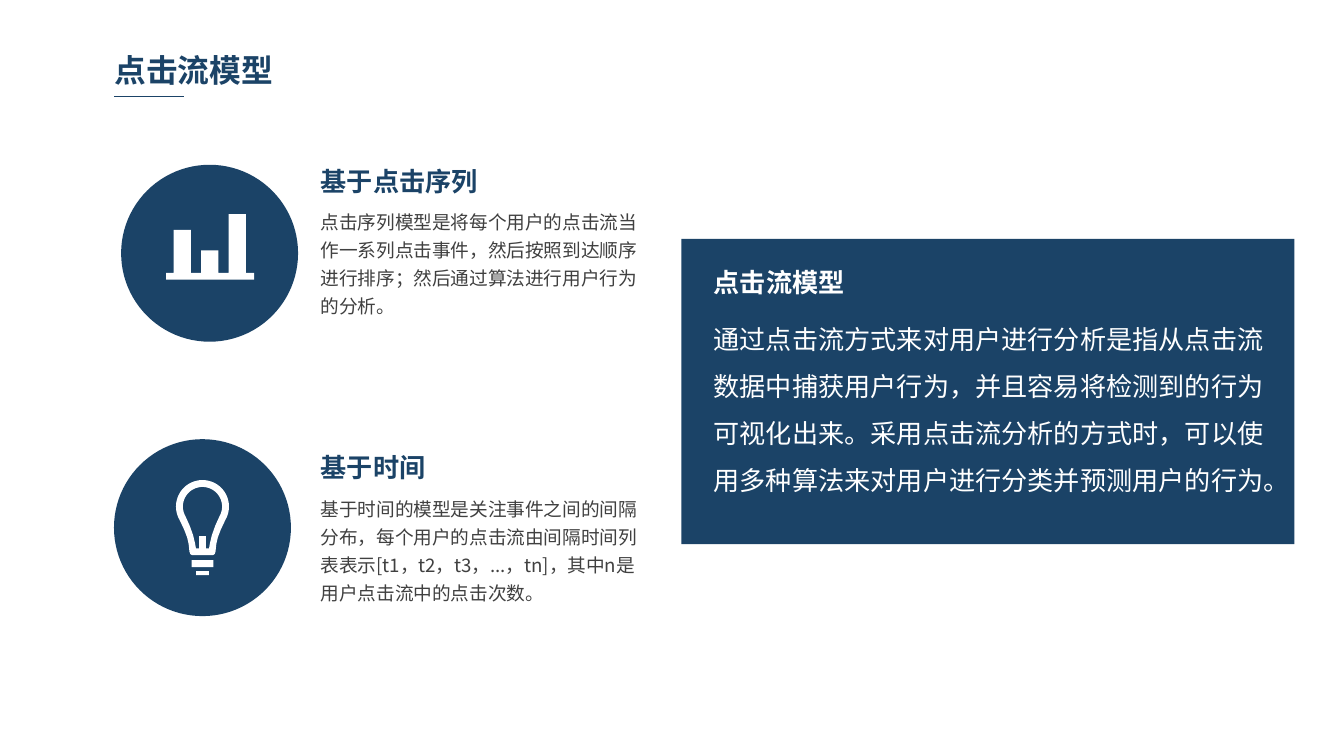
from math import cos, radians, sin

from lxml.etree import SubElement
from pptx import Presentation
from pptx.dml.color import RGBColor
from pptx.enum.shapes import MSO_CONNECTOR, MSO_SHAPE
from pptx.enum.text import MSO_AUTO_SIZE
from pptx.oxml.ns import qn
from pptx.util import Pt

FONT = "Noto Sans CJK SC"
NAVY, WHITE, GREY = "1B4367", "FFFFFF", "404040"


def paint(shape, color):
    shape.shadow.inherit = False
    shape.fill.solid()
    shape.fill.fore_color.rgb = RGBColor.from_string(color)
    shape.line.fill.background()


def add_text(text, box, size, color, bold=False, spacing=None, insets=(0, 0)):
    """Add a text box; insets are (horizontal, vertical)."""
    text_box = slide.shapes.add_textbox(*[Pt(value) for value in box])
    frame = text_box.text_frame
    frame.word_wrap = True
    frame.auto_size = MSO_AUTO_SIZE.SHAPE_TO_FIT_TEXT
    frame.margin_left = frame.margin_right = Pt(insets[0])
    frame.margin_top = frame.margin_bottom = Pt(insets[1])
    frame.text = text
    paragraph = frame.paragraphs[0]
    paragraph.line_spacing = spacing
    run = paragraph.runs[0]
    run.font.size, run.font.bold, run.font.name = Pt(size), bold, FONT
    run.font.color.rgb = RGBColor.from_string(color)
    SubElement(run.font._element, qn("a:ea"), typeface=FONT)


presentation = Presentation()
presentation.slide_width, presentation.slide_height = Pt(720), Pt(405)
slide = presentation.slides.add_slide(presentation.slide_layouts[6])

# Heading with underline
add_text("点击流模型", (56.2, 24.5, 178, 26), 17, NAVY, True, insets=(5.04, 2.88))
underline = slide.shapes.add_connector(
    MSO_CONNECTOR.STRAIGHT, Pt(61.2), Pt(51.8), Pt(98.6), Pt(51.8))
underline.line.color.rgb = RGBColor.from_string(NAVY)
underline.line.width = Pt(0.75)
SubElement(underline._element.spPr, qn("a:effectLst"))

# Bar icon: one outline over the baseline and three bars
bars_outline = [(89, 149.8), (89, 146.3)]
for index, top in enumerate((123.2, 134.2, 114.7)):
    left = 93.1 + 14.7 * index
    right = left + 9.2
    bars_outline += [(left, 146.3), (left, top), (right, top), (right, 146.3)]
bars_outline += [(136.1, 146.3), (136.1, 149.8)]

# Bulb icon: right halves of its contours, as offsets from the axis, mirrored
axis, bulb_center = 108.5, 271.4
arcs = [
    [(radius * cos(radians(angle)), bulb_center - radius * sin(radians(angle)))
     for angle in range(90, -31, -5)]
    for radius in (14.2, 10.5)
]
half_contours = [
    arcs[0] + [(9.8, 283.8), (8.2, 288), (7.4, 291.5), (7, 295.5), (6.5, 296.9), (5.6, 297.4)],
    arcs[1] + [(6.8, 281.8), (5, 286.8), (4, 291), (3.5, 293.8), (1.8, 293.8), (1.8, 287.3)],
    [(5.8, 300.1), (5.8, 303.8)],
    [(3.4, 306), (3.4, 308.2)],
]
bulb_contours = [
    [(axis + x, y) for x, y in half] + [(axis - x, y) for x, y in reversed(half)]
    for half in half_contours
]

# Two models: circle, icon, title and description
models = [
    (64.9, 88.3, [bars_outline], 88.6, "基于点击序列",
     "点击序列模型是将每个用户的点击流当作一系列点击事件，然后按照到达顺序进行排序；"
     "然后通过算法进行用户行为的分析。"),
    (61.1, 235.3, bulb_contours, 242, "基于时间",
     "基于时间的模型是关注事件之间的间隔分布，每个用户的点击流由间隔时间列表表示"
     "[t1，t2，t3，...，tn]，其中n是用户点击流中的点击次数。"),
]
for circle_left, circle_top, contours, title_top, title, description in models:
    circle = slide.shapes.add_shape(
        MSO_SHAPE.FLOWCHART_CONNECTOR, Pt(circle_left), Pt(circle_top), Pt(94.8), Pt(94.8))
    paint(circle, NAVY)

    builder = None
    for contour in contours:
        points = [(Pt(x), Pt(y)) for x, y in contour]
        if builder is None:
            builder = slide.shapes.build_freeform(*points[0])
        else:
            builder.move_to(*points[0])
        builder.add_line_segments(points[1:], close=True)
    paint(builder.convert_to_shape(), WHITE)

    add_text(title, (171.8, title_top, 110, 17.3), 14, NAVY, True)
    add_text(description, (171.8, title_top + 21.6, 170, 60), 10, GREY, spacing=Pt(15))

# Summary panel
panel = slide.shapes.add_shape(MSO_SHAPE.RECTANGLE, Pt(365), Pt(128), Pt(328.5), Pt(163.5))
paint(panel, NAVY)
add_text("点击流模型", (377.3, 139.7, 234, 22.3), 14, WHITE, True, insets=(5.04, 2.88))
add_text(
    "通过点击流方式来对用户进行分析是指从点击流数据中捕获用户行为，"
    "并且容易将检测到的行为可视化出来。采用点击流分析的方式时，"
    "可以使用多种算法来对用户进行分类并预测用户的行为。",
    (377.3, 162, 307.4, 107.3), 14, WHITE, spacing=1.5, insets=(5.04, 2.88))

presentation.save("out.pptx")
